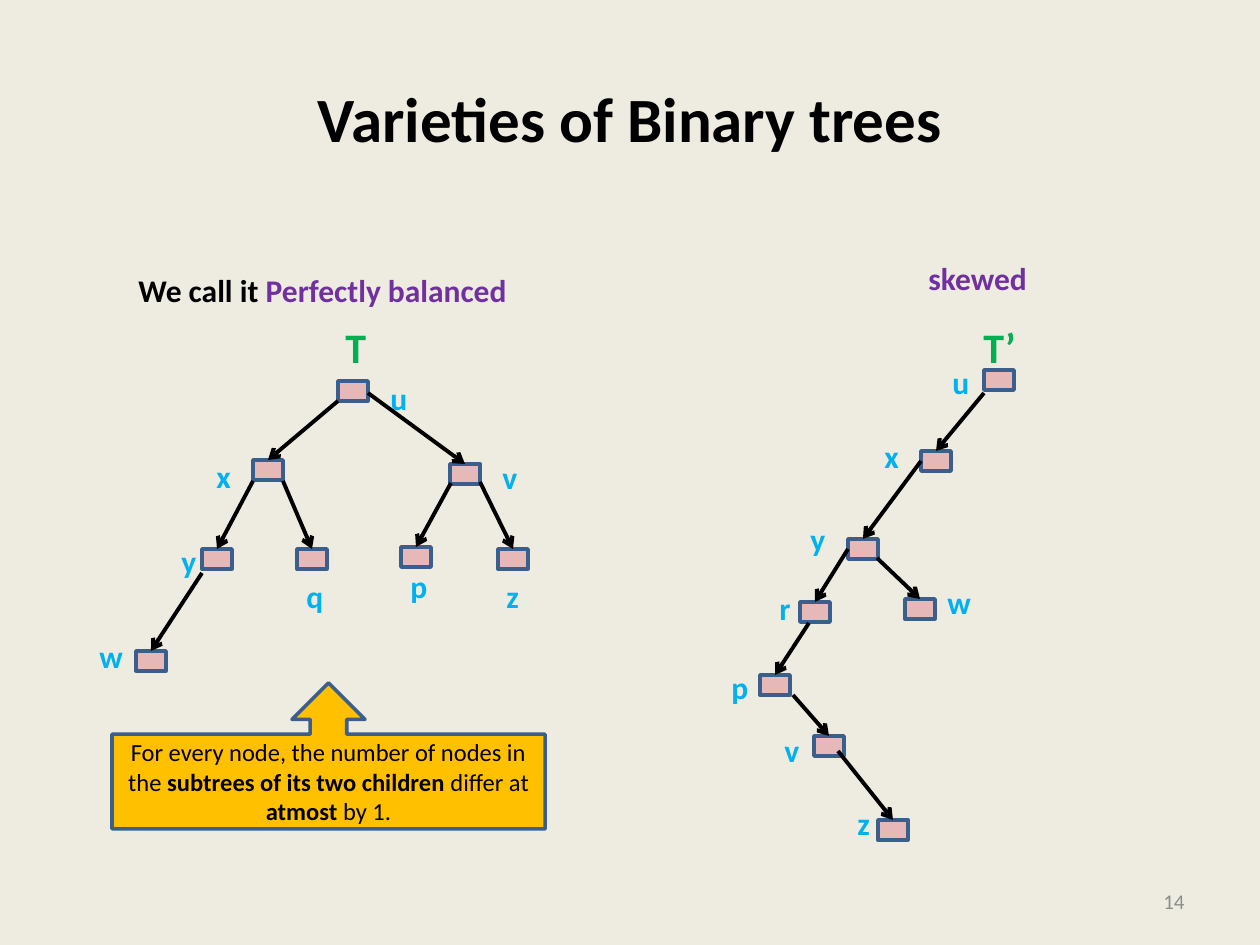
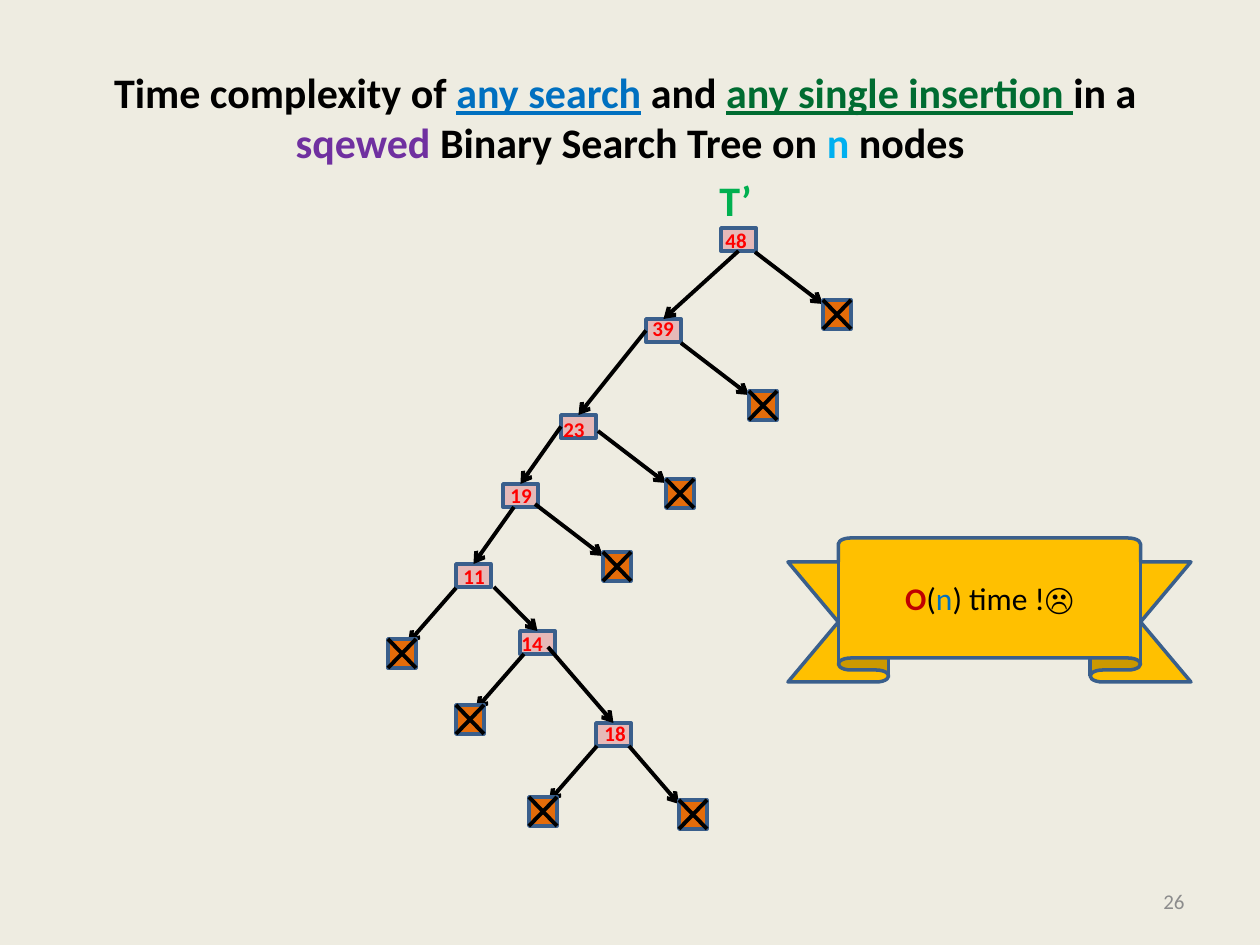
import copy
from dataclasses import dataclass

import lxml.etree
import pptx
import pptx.dml.color
import pptx.enum.shapes
import pptx.enum.text
import pptx.oxml.ns
import pptx.util

SHAPE = pptx.enum.shapes.MSO_SHAPE
ALIGN = pptx.enum.text.PP_ALIGN
ANCHOR = pptx.enum.text.MSO_ANCHOR
FIT = pptx.enum.text.MSO_AUTO_SIZE
qn = pptx.oxml.ns.qn


@dataclass(frozen=True)
class Theme:
    font: str = "Calibri"
    background: str = "EEECE1"
    ink: str = "000000"
    muted: str = "8C8C8C"
    outline: str = "3A5F8C"
    node: str = "E6B9B8"
    external: str = "E46C0A"
    callout: str = "FFC000"
    purple: str = "7030A0"
    cyan: str = "00B0F0"
    green: str = "00B050"
    dark_green: str = "006C31"
    blue: str = "0070C0"
    red: str = "FF0000"
    dark_red: str = "C00000"
    title: int = 36
    long_title: int = 24
    tree_name: int = 24
    body: int = 18
    note: int = 14
    small: int = 12
    outline_width: float = 2
    edge_width: float = 2.25


T = Theme()
TITLE_BOX = (63, 38, 1134, 158)
NUMBER_BOX = (903, 876, 294, 50)
WIDE_LABELS = {"w": 49, "T": 47, "T’": 58}


def px(*lengths):
    return [round(length * 914400 / 126) for length in lengths]


def rgb(value):
    return pptx.dml.color.RGBColor.from_string(value)


def write(tf, runs, size, align=ALIGN.LEFT, **shared):
    p = tf.paragraphs[0]
    p.alignment = align
    for text, extra in runs:
        fmt = {"name": T.font, "size": pptx.util.Pt(size), "color": T.ink, **shared, **extra}
        r = p.add_run()
        r.text = text.removesuffix("\n")
        r.font.color.rgb = rgb(fmt.pop("color"))
        for key, value in fmt.items():
            setattr(r.font, key, value)
        if text.endswith("\n"):
            p.add_line_break()
            p._p[-1].append(copy.deepcopy(r._r.rPr))


def add_label(shapes, box, runs, size, **shared):
    tf = shapes.add_textbox(*px(*box)).text_frame
    tf.word_wrap = False
    tf.auto_size = FIT.SHAPE_TO_FIT_TEXT
    write(tf, runs, size, bold=True, **shared)


def add_box(shapes, kind, box, fill):
    sp = shapes.add_shape(kind, *px(*box))
    sp.shadow.inherit = False
    sp.fill.solid()
    sp.fill.fore_color.rgb = rgb(fill)
    sp.line.color.rgb = rgb(T.outline)
    sp.line.width = pptx.util.Pt(T.outline_width)
    return sp


def add_line(shapes, start, end, arrow=False):
    line = shapes.add_connector(pptx.enum.shapes.MSO_CONNECTOR.STRAIGHT, *px(*start, *end))
    line.line.color.rgb = rgb(T.ink)
    line.line.width = pptx.util.Pt(T.edge_width)
    if arrow:
        lxml.etree.SubElement(line.line._get_or_add_ln(), qn("a:tailEnd"), type="arrow")
    lxml.etree.SubElement(line._element.spPr, qn("a:effectLst"))
    return line


def add_external(shapes, start, reach):
    width, height = 28, 29
    end = (start[0] + reach[0], start[1] + reach[1])
    x = end[0] if reach[0] > 0 else end[0] - 20
    y = end[1] - 4
    add_line(shapes, start, end, arrow=True)
    add_box(shapes, SHAPE.RECTANGLE, (x, y, width, height), T.external)
    add_line(shapes, (x, y), (x + width, y + height))
    add_line(shapes, (x + width, y), (x, y + height))


def add_tree(s, origin, name, name_x, nodes, edges, node_size, label_width, label_style, externals=()):
    shapes = s.shapes.add_group_shape().shapes
    left, top = origin
    width, height = node_size
    ports = {(0, height // 2): 1, (width // 2, height): 2}
    boxes = {
        key: add_box(shapes, SHAPE.RECTANGLE, (left + x, top + y, width, height), T.node)
        for key, (x, y, _, _) in nodes.items()
    }

    def start_point(parent, offset):
        x, y, _, _ = nodes[parent]
        return left + x + offset[0], top + y + offset[1]

    for parent, child, offset in edges:
        x, y, _, _ = nodes[child]
        end = (left + x + width / 2, top + y)
        line = add_line(shapes, start_point(parent, offset), end, arrow=True)
        if offset in ports:
            line.begin_connect(boxes[parent], ports[offset])
        line.end_connect(boxes[child], 0)
    for parent, offset, reach in externals:
        add_external(shapes, start_point(parent, offset), reach)
    for key, (_, _, x, y) in nodes.items():
        box = (left + x, top + y, WIDE_LABELS.get(key, label_width), 38)
        add_label(shapes, box, [(key, {})], **label_style)
    add_label(shapes, (left + name_x, top, WIDE_LABELS[name], 63), [(name, {})], T.tree_name, color=T.green)


def add_callout(s, kind, box, runs, size):
    sp = add_box(s.shapes, kind, box, T.callout)
    sp.text_frame.vertical_anchor = ANCHOR.MIDDLE
    write(sp.text_frame, runs, size, ALIGN.CENTER)
    return sp


def new_slide(prs, title, size, number):
    s = prs.slides.add_slide(prs.slide_layouts[5])
    sp = s.shapes.title
    for key, value in zip(("left", "top", "width", "height"), px(*TITLE_BOX)):
        setattr(sp, key, value)
    sp.text_frame.vertical_anchor = ANCHOR.MIDDLE
    write(sp.text_frame, title, size, ALIGN.CENTER, bold=True)
    tf = s.shapes.add_textbox(*px(*NUMBER_BOX)).text_frame
    tf.word_wrap = True
    tf.vertical_anchor = ANCHOR.MIDDLE
    write(tf, [(number, {})], T.small, ALIGN.RIGHT, color=T.muted)
    return s


def varieties_slide(prs):
    s = new_slide(prs, [("Varieties of Binary trees", {})], T.title, "14")
    add_label(s.shapes, (916, 253, 125, 50), [("skewed", {})], T.body, color=T.purple)
    common = {
        "node_size": (30, 20),
        "label_width": 33,
        "label_style": {"size": T.body, "color": T.cyan},
    }
    balanced = {
        "u": (251, 66, 291, 58),
        "x": (166, 145, 117, 136),
        "v": (363, 149, 403, 137),
        "y": (115, 234, 82, 221),
        "q": (210, 234, 207, 256),
        "p": (314, 232, 311, 246),
        "z": (411, 234, 407, 256),
        "w": (49, 336, 0, 316),
    }
    balanced_edges = [
        ("u", "x", (0, 20)),
        ("u", "v", (30, 12)),
        ("x", "y", (0, 21)),
        ("x", "q", (30, 21)),
        ("v", "p", (1, 19)),
        ("v", "z", (30, 18)),
        ("y", "w", (0, 24)),
    ]
    add_tree(s, (87, 315), "T", 246, balanced, balanced_edges, **common)
    skewed = {
        "u": (265, 55, 221, 42),
        "x": (202, 136, 153, 116),
        "y": (129, 224, 79, 199),
        "r": (81, 287, 48, 268),
        "w": (186, 284, 216, 262),
        "p": (41, 360, 0, 347),
        "v": (95, 421, 53, 410),
        "z": (159, 505, 126, 483),
    }
    skewed_edges = [
        ("u", "x", (0, 23)),
        ("x", "y", (0, 10)),
        ("y", "r", (0, 10)),
        ("y", "w", (29, 19)),
        ("r", "p", (9, 21)),
        ("p", "v", (33, 20)),
        ("v", "z", (24, 15)),
    ]
    add_tree(s, (719, 315), "T’", 252, skewed, skewed_edges, **common)
    rule = [
        ("For every node, the number of nodes in the ", {}),
        ("subtrees of its two children ", {"bold": True}),
        ("differ at ", {}),
        ("atmost", {"bold": True}),
        (" by 1.", {}),
    ]
    add_callout(s, SHAPE.UP_ARROW_CALLOUT, (112, 683, 433, 146), rule, T.note)
    caption = [("We call it ", {}), ("Perfectly balanced", {"color": T.purple})]
    add_label(s.shapes, (126, 265, 397, 50), caption, T.body)


def complexity_slide(prs):
    title = [
        ("Time complexity of ", {}),
        ("any search", {"color": T.blue, "underline": True}),
        (" and ", {}),
        ("any single insertion ", {"color": T.dark_green, "underline": True}),
        ("in a \n", {}),
        ("sqewed ", {"color": T.purple}),
        ("Binary Search Tree on ", {}),
        ("n", {"color": T.cyan}),
        (" nodes", {}),
    ]
    s = new_slide(prs, title, T.long_title, "26")
    nodes = {
        "48": (333, 60, 325, 53),
        "39": (258, 151, 252, 141),
        "23": (173, 247, 163, 242),
        "19": (115, 316, 110, 308),
        "11": (68, 396, 63, 389),
        "14": (132, 463, 121, 456),
        "18": (208, 555, 204, 546),
    }
    edges = [
        ("48", "39", (17, 23)),
        ("39", "23", (0, 11)),
        ("23", "19", (0, 11)),
        ("19", "11", (11, 23)),
        ("11", "14", (38, 23)),
        ("14", "18", (28, 16)),
    ]
    right, left = (68, 52), (-48, 55)
    externals = [
        ("48", (34, 24), right),
        ("39", (35, 24), right),
        ("23", (37, 16), right),
        ("19", (32, 20), right),
        ("11", (0, 24), left),
        ("14", (4, 23), left),
        ("18", (1, 23), left),
        ("18", (33, 23), (50, 58)),
    ]
    label_style = {"size": T.small, "color": T.red}
    add_tree(s, (388, 168), "T’", 319, nodes, edges, (35, 23), 47, label_style, externals)
    cost = [
        ("O", {"color": T.dark_red, "bold": True}),
        ("(", {}),
        ("n", {"color": T.blue}),
        (") time !☹", {}),
    ]
    ribbon = add_callout(s, SHAPE.UP_RIBBON, (788, 538, 403, 144), cost, T.body)
    ribbon.adjustments[1] = 0.75


def main():
    prs = pptx.Presentation()
    prs.slide_width, prs.slide_height = px(1260, 945)
    fill = prs.slide_master.background.fill
    fill.solid()
    fill.fore_color.rgb = rgb(T.background)
    varieties_slide(prs)
    complexity_slide(prs)
    prs.save("out.pptx")


if __name__ == "__main__":
    main()
